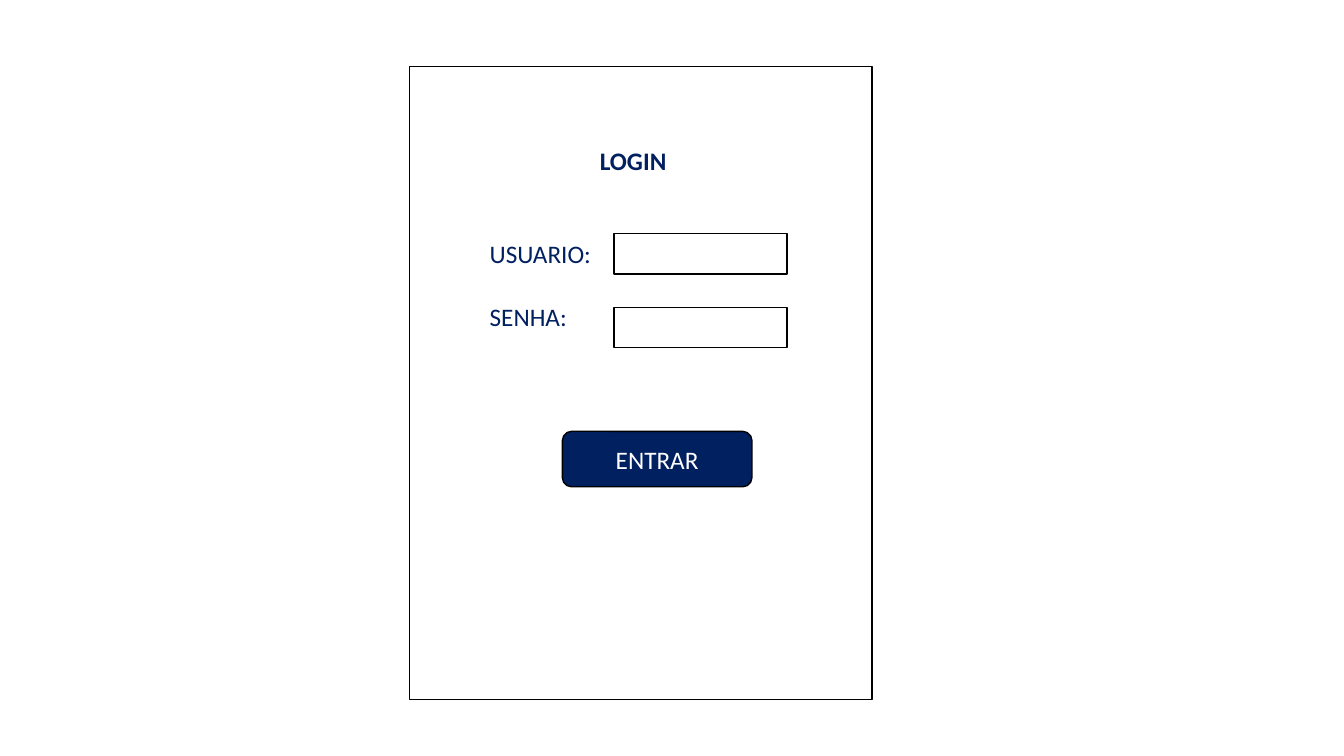
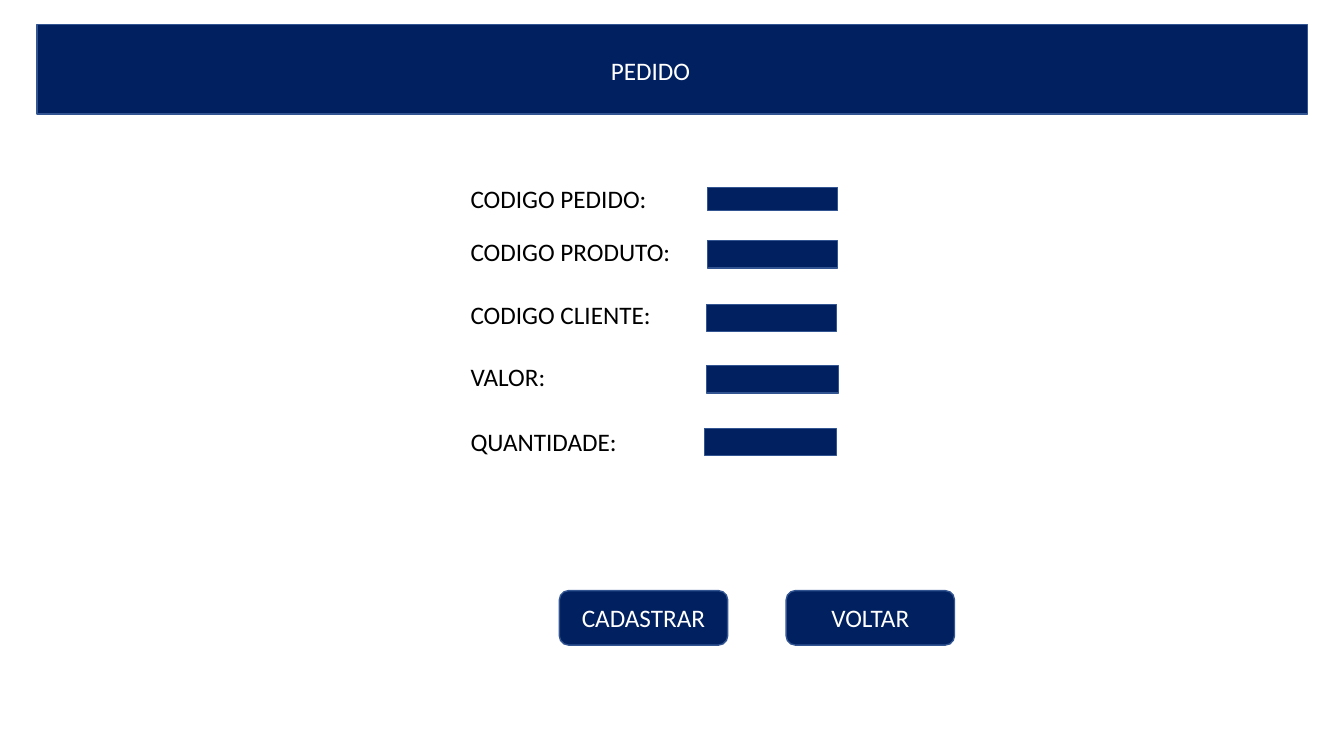
import pptx
import pptx.dml.color
import pptx.enum.shapes
import pptx.enum.text
import pptx.util

Pt = pptx.util.Pt
SHAPE = pptx.enum.shapes.MSO_SHAPE
ALIGN = pptx.enum.text.PP_ALIGN
ANCHOR = pptx.enum.text.MSO_ANCHOR

NAVY, BLUE, BLACK, WHITE = "002060", "325491", "000000", "FFFFFF"
FONT, TEXT_SIZE, LINE_HEIGHT = "Calibri", 18, 28.8


def rgb(hex_color):
    """Turn a hex string into a colour."""
    return pptx.dml.color.RGBColor.from_string(hex_color)


def write(sp, text, color, bold=False, align=ALIGN.LEFT, anchor=ANCHOR.TOP):
    """Put one line of text in a shape, in the shared style."""
    tf = sp.text_frame
    tf.text = text
    tf.word_wrap = True
    tf.auto_size = pptx.enum.text.MSO_AUTO_SIZE.NONE
    tf.vertical_anchor = anchor
    p = tf.paragraphs[0]
    p.alignment = align
    font = p.runs[0].font
    font.name, font.size, font.bold = FONT, Pt(TEXT_SIZE), bold
    font.color.rgb = rgb(color)


def add_box(s, x, y, w, h, fill, line, kind=SHAPE.RECTANGLE):
    """Draw a filled and outlined shape."""
    sp = s.shapes.add_shape(kind, Pt(x), Pt(y), Pt(w), Pt(h))
    sp.shadow.inherit = False
    sp.fill.solid()
    sp.fill.fore_color.rgb = rgb(fill)
    sp.line.color.rgb = rgb(line)
    sp.line.width = Pt(1)
    return sp


def add_button(s, x, y, w, h, text, line):
    """Draw a rounded navy button with centred text."""
    sp = add_box(s, x, y, w, h, NAVY, line, SHAPE.ROUNDED_RECTANGLE)
    write(sp, text, WHITE, align=ALIGN.CENTER, anchor=ANCHOR.MIDDLE)


def add_label(s, x, y, w, text, color):
    """Write the label of a field."""
    sp = s.shapes.add_textbox(Pt(x), Pt(y), Pt(w), Pt(LINE_HEIGHT))
    write(sp, text, color)


def place_title(s, x, y, w, text, color, bold=False):
    """Format the title placeholder and bring it in front of its panel."""
    sp = s.shapes.title
    sp.left, sp.top, sp.width, sp.height = Pt(x), Pt(y), Pt(w), Pt(LINE_HEIGHT)
    write(sp, text, color, bold)
    s.shapes.element.append(sp.element)


def login_card(s, x, y, w, h):
    """Draw the login card with its two fields and button."""
    add_box(s, x, y, w, h, WHITE, BLACK)
    place_title(s, x + 128.9, y + 52.6, 71.3, "LOGIN", NAVY, bold=True)
    for text, label_y, field_y in (("USUARIO:", 119.5, 119.5),
                                   ("SENHA:", 164.2, 172.1)):
        add_label(s, x + 50.4, y + label_y, 95.8, text, NAVY)
        add_box(s, x + 146.2, y + field_y, 123.8, LINE_HEIGHT, WHITE, BLACK)
    add_button(s, x + 109.4, y + 260.6, 135.4, 39.6, "ENTRAR", BLACK)


def title_band(s, x, y, w, h, text):
    """Draw the navy band that carries the slide title."""
    add_box(s, x, y, w, h, NAVY, BLUE)
    place_title(s, x + 402.5, y + 18.7, 120.2, text, WHITE)


def order_form(s, x, y):
    """Draw the order labels, each with its navy field."""
    rows = (  # label, label y, field x, field y, field width, field height
        ("CODIGO PEDIDO:", 0, 176.4, 6.5, 92.9, 16.6),
        ("CODIGO PRODUTO:", 38.2, 176.4, 44.6, 92.9, 19.4),
        ("CODIGO CLIENTE:", 82.8, 175.7, 90, 92.9, 19.4),
        ("VALOR:", 127.4, 175.7, 133.9, 94.3, 19.4),
        ("QUANTIDADE:", 173.5, 174.2, 178.6, 94.3, 19.4),
    )
    for text, label_y, field_x, field_y, w, h in rows:
        add_label(s, x, y + label_y, 157, text, BLACK)
        add_box(s, x + field_x, y + field_y, w, h, NAVY, BLUE)


def button_row(s, x, y, w, h, step, texts):
    """Draw equally spaced buttons."""
    for i, text in enumerate(texts):
        add_button(s, x + i * step, y, w, h, text, BLUE)


def login_slide(prs, layout):
    """Build the login screen."""
    s = prs.slides.add_slide(layout)
    login_card(s, 292.3, 47.5, 330.5, 452.2)


def order_slide(prs, layout):
    """Build the order screen."""
    s = prs.slides.add_slide(layout)
    title_band(s, 26.6, 17.3, 907.2, 64.1, "PEDIDO")
    order_form(s, 329, 127.4)
    button_row(s, 399.6, 421.9, 120.2, 38.9, 162, ("CADASTRAR", "VOLTAR"))


prs = pptx.Presentation()
prs.slide_width, prs.slide_height = Pt(960), Pt(540)
title_only = prs.slide_layouts.get_by_name("Title Only")
login_slide(prs, title_only)
order_slide(prs, title_only)
prs.save("out.pptx")
